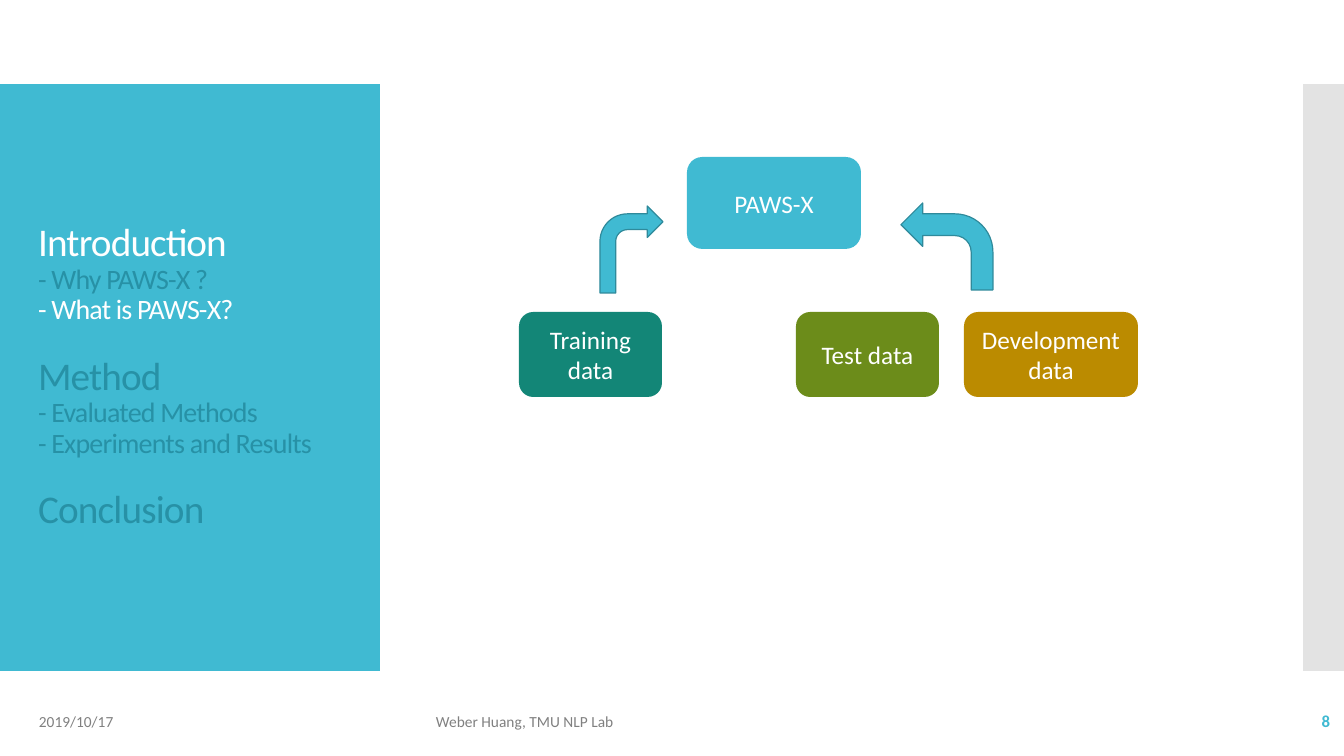
from dataclasses import dataclass

import pptx
import pptx.dml.color
import pptx.enum.shapes
import pptx.enum.text
import pptx.oxml
import pptx.oxml.ns
import pptx.shapes.autoshape
import pptx.text.text
import pptx.util

SLIDE_WIDTH, SLIDE_HEIGHT = 1344, 756
EMU_PER_PX = 12192000 / SLIDE_WIDTH

Shape = pptx.shapes.autoshape.Shape
Preset = pptx.enum.shapes.MSO_SHAPE
Align = pptx.enum.text.PP_ALIGN


@dataclass(frozen=True)
class Theme:
    font: str = "Calibri"
    accent: str = "40BAD2"
    outline: str = "2F8A9B"
    muted: str = "2791A6"
    white: str = "FFFFFF"
    footer: str = "808080"
    edge: str = "C8C8C8"
    training: str = "138677"
    test: str = "6C8C1A"
    development: str = "BB8B00"
    heading_size: int = 28
    item_size: int = 20
    box_size: int = 18
    number_size: int = 12
    footer_size: int = 11
    section_gap: int = 22
    outline_width: float = 0.85


THEME = Theme()


@dataclass(frozen=True)
class Area:
    left: int
    top: int
    width: int
    height: int

    def emu(self) -> list[pptx.util.Emu]:
        lengths = (self.left, self.top, self.width, self.height)
        return [pptx.util.Emu(round(length * EMU_PER_PX)) for length in lengths]


@dataclass(frozen=True)
class Line:
    text: str
    size: int
    color: str
    bold: bool = False
    gap: int = 0


@dataclass(frozen=True)
class Box:
    area: Area
    color: str
    lines: tuple[str, ...]


@dataclass(frozen=True)
class Arrow:
    area: Area
    flipped: bool = False


@dataclass(frozen=True)
class Note:
    area: Area
    line: Line
    alignment: Align = Align.LEFT


PANEL = Area(0, 84, 380, 587)
EDGE = Area(1303, 84, 41, 587)
TITLE = Area(28, 124, 325, 507)

AGENDA = (
    Line("Introduction", THEME.heading_size, THEME.white),
    Line("- Why PAWS-X ?", THEME.item_size, THEME.muted),
    Line("- What is PAWS-X?", THEME.item_size, THEME.white),
    Line("Method", THEME.heading_size, THEME.muted, gap=THEME.section_gap),
    Line("- Evaluated Methods", THEME.item_size, THEME.muted),
    Line("- Experiments and Results", THEME.item_size, THEME.muted),
    Line("Conclusion", THEME.heading_size, THEME.muted, gap=THEME.section_gap),
)

BOXES = (
    Box(Area(687, 157, 174, 92), THEME.accent, ("PAWS-X",)),
    Box(Area(519, 312, 143, 85), THEME.training, ("Training data",)),
    Box(Area(796, 312, 143, 85), THEME.test, ("Test data",)),
    Box(Area(964, 312, 174, 85), THEME.development, ("Development", "data")),
)

ARROWS = (
    Arrow(Area(600, 206, 63, 87)),
    Arrow(Area(901, 203, 92, 87), flipped=True),
)

NOTES = (
    Note(Area(29, 701, 302, 40), Line("2019/10/17", THEME.footer_size, THEME.footer)),
    Note(Area(426, 701, 651, 40),
         Line("Weber Huang, TMU NLP Lab", THEME.footer_size, THEME.footer)),
    Note(Area(1172, 701, 168, 40),
         Line("8", THEME.number_size, THEME.accent, bold=True), Align.RIGHT),
)


def rgb(color: str) -> pptx.dml.color.RGBColor:
    return pptx.dml.color.RGBColor.from_string(color)


def write_lines(frame: pptx.text.text.TextFrame, lines: tuple[Line, ...],
                alignment: Align) -> None:
    frame.word_wrap = True
    frame.auto_size = pptx.enum.text.MSO_AUTO_SIZE.NONE
    frame.vertical_anchor = pptx.enum.text.MSO_ANCHOR.MIDDLE
    for index, line in enumerate(lines):
        paragraph = frame.add_paragraph() if index else frame.paragraphs[0]
        paragraph.alignment = alignment
        paragraph.space_before = pptx.util.Pt(line.gap)
        run = paragraph.add_run()
        run.text = line.text
        run.font.name = THEME.font
        run.font.size = pptx.util.Pt(line.size)
        run.font.bold = line.bold
        run.font.color.rgb = rgb(line.color)


def add_filled(slide: pptx.slide.Slide, preset: Preset, area: Area, color: str) -> Shape:
    shape = slide.shapes.add_shape(preset, *area.emu())
    shape.shadow.inherit = False
    shape.fill.solid()
    shape.fill.fore_color.rgb = rgb(color)
    shape.line.fill.background()
    return shape


def add_edge(slide: pptx.slide.Slide) -> None:
    shape = add_filled(slide, Preset.RECTANGLE, EDGE, THEME.edge)
    color = shape.element.spPr.find(".//" + pptx.oxml.ns.qn("a:srgbClr"))
    alpha = pptx.oxml.parse_xml(f'<a:alpha {pptx.oxml.ns.nsdecls("a")} val="50000"/>')
    color.append(alpha)


def add_box(slide: pptx.slide.Slide, box: Box) -> None:
    shape = add_filled(slide, Preset.ROUNDED_RECTANGLE, box.area, box.color)
    lines = tuple(Line(text, THEME.box_size, THEME.white) for text in box.lines)
    write_lines(shape.text_frame, lines, Align.CENTER)


def add_arrow(slide: pptx.slide.Slide, arrow: Arrow) -> None:
    shape = add_filled(slide, Preset.BENT_ARROW, arrow.area, THEME.accent)
    shape.line.color.rgb = rgb(THEME.outline)
    shape.line.width = pptx.util.Pt(THEME.outline_width)
    if arrow.flipped:
        shape.element.spPr.xfrm.set("flipH", "1")


def add_note(slide: pptx.slide.Slide, note: Note) -> None:
    shape = slide.shapes.add_textbox(*note.area.emu())
    write_lines(shape.text_frame, (note.line,), note.alignment)


def place_title(slide: pptx.slide.Slide) -> None:
    title = slide.shapes.title
    title.left, title.top, title.width, title.height = TITLE.emu()
    write_lines(title.text_frame, AGENDA, Align.LEFT)
    for paragraph in title.text_frame.paragraphs:
        paragraph.line_spacing = 0.9
        for run in paragraph.runs:
            run.font._element.set("spc", "-60")
    slide.shapes.element.append(title.element)


def main() -> None:
    presentation = pptx.Presentation()
    presentation.slide_width = pptx.util.Emu(round(SLIDE_WIDTH * EMU_PER_PX))
    presentation.slide_height = pptx.util.Emu(round(SLIDE_HEIGHT * EMU_PER_PX))
    slide = presentation.slides.add_slide(presentation.slide_layouts.get_by_name("Title Only"))
    add_filled(slide, Preset.RECTANGLE, PANEL, THEME.accent)
    add_edge(slide)
    for note in NOTES:
        add_note(slide, note)
    for box in BOXES:
        add_box(slide, box)
    for arrow in ARROWS:
        add_arrow(slide, arrow)
    place_title(slide)
    presentation.save("out.pptx")


if __name__ == "__main__":
    main()
